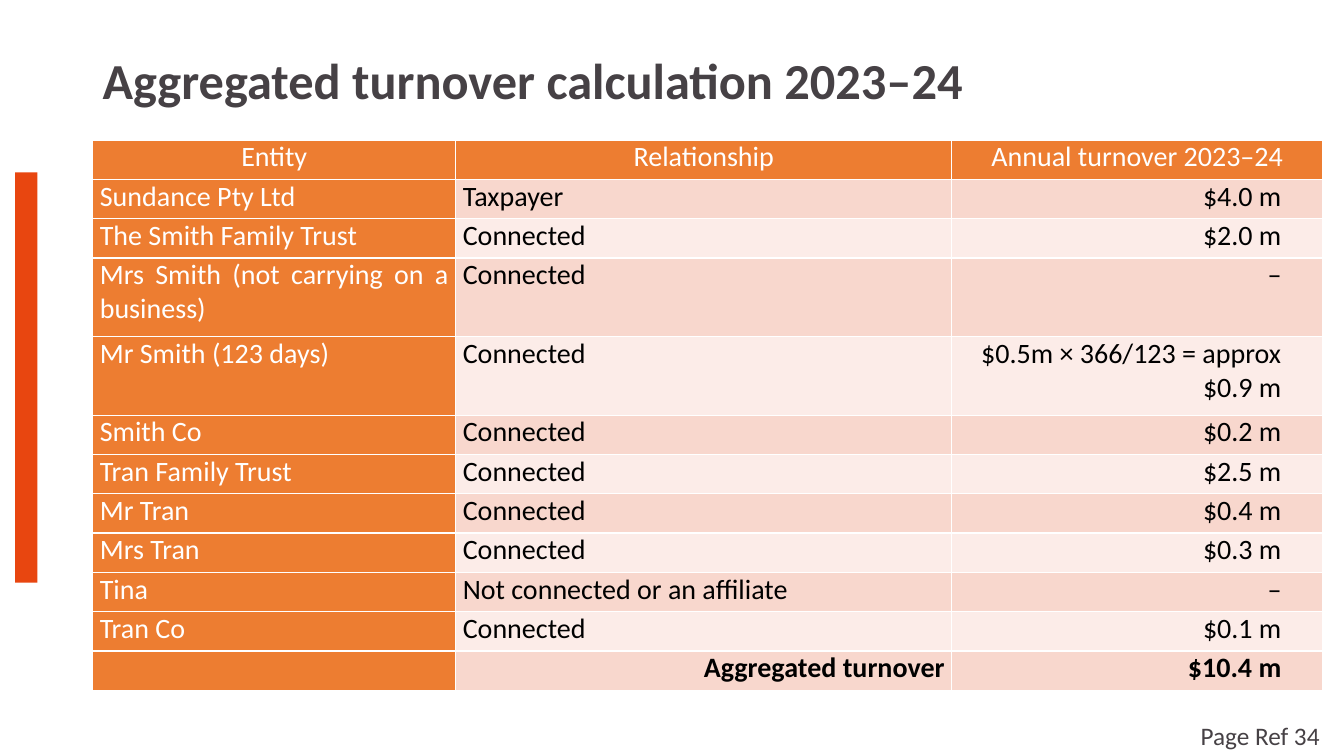
from pptx import Presentation
from pptx import util as u
from pptx.dml.color import RGBColor
from pptx.enum import shapes, text

PX = 9144  # EMU per px, 100 px to the inch
WHITE = RGBColor(0xFF, 0xFF, 0xFF)
BLACK = RGBColor(0x00, 0x00, 0x00)
GREY = RGBColor(0x46, 0x41, 0x45)
RED = RGBColor(0xE8, 0x46, 0x10)
ORANGE = RGBColor(0xED, 0x7D, 0x31)
DARK_BAND = RGBColor(0xF8, 0xD7, 0xCD)
LIGHT_BAND = RGBColor(0xFC, 0xEC, 0xE8)
ALIGN = text.PP_ALIGN


def format_runs(paragraph, size, color, bold=False):
    for run in paragraph.runs:
        run.font.name = "Calibri"
        run.font.size = u.Pt(size)
        run.font.color.rgb = color
        run.font.bold = bold


def add_text(left, top, width, height, wording, size, bold=False):
    box = slide.shapes.add_textbox(left * PX, top * PX, width * PX, height * PX)
    box.text_frame.word_wrap = True
    box.text_frame.text = wording
    format_runs(box.text_frame.paragraphs[0], size, GREY, bold)
    return box


presentation = Presentation()
presentation.slide_width = 1333 * PX
presentation.slide_height = 750 * PX
slide = presentation.slides.add_slide(presentation.slide_layouts[6])

accent_bar = slide.shapes.add_shape(
    shapes.MSO_SHAPE.RECTANGLE, 15 * PX, 171 * PX, 22 * PX, 407 * PX)
accent_bar.shadow.inherit = False
accent_bar.fill.solid()
accent_bar.fill.fore_color.rgb = RED
accent_bar.line.fill.background()

title = add_text(92, 40, 1150, 85, "Aggregated turnover calculation 2023–24", 36, True)
title.text_frame.vertical_anchor = text.MSO_ANCHOR.MIDDLE
title.text_frame.paragraphs[0].line_spacing = 0.9

ROWS = [
    ("Entity", "Relationship", "Annual turnover 2023–24"),
    ("Sundance Pty Ltd", "Taxpayer", "$4.0 m"),
    ("The Smith Family Trust", "Connected", "$2.0 m"),
    ("Mrs Smith (not carrying on a business)", "Connected", "–"),
    ("Mr Smith (123 days)", "Connected", "$0.5m × 366/123 = approx $0.9 m"),
    ("Smith Co", "Connected", "$0.2 m"),
    ("Tran Family Trust", "Connected", "$2.5 m"),
    ("Mr Tran", "Connected", "$0.4 m"),
    ("Mrs Tran", "Connected", "$0.3 m"),
    ("Tina", "Not connected or an affiliate", "–"),
    ("Tran Co", "Connected", "$0.1 m"),
    ("", "Aggregated turnover", "$10.4 m"),
]
COLUMN_WIDTHS = [360, 492, 368]
ROW_HEIGHT = 39
TALL_ROWS = (3, 4)
TOTAL_ROW = len(ROWS) - 1

# The default table style supplies the white cell borders.
table = slide.shapes.add_table(
    len(ROWS), len(COLUMN_WIDTHS), 92 * PX, 139 * PX, sum(COLUMN_WIDTHS) * PX,
    (len(ROWS) + len(TALL_ROWS)) * ROW_HEIGHT * PX).table
for column, width in zip(table.columns, COLUMN_WIDTHS):
    column.width = width * PX

for row_index, row in enumerate(ROWS):
    table.rows[row_index].height = ROW_HEIGHT * (2 if row_index in TALL_ROWS else 1) * PX
    for column_index, wording in enumerate(row):
        cell = table.cell(row_index, column_index)
        is_header = row_index == 0
        is_amount = column_index == 2 and not is_header
        on_orange = is_header or column_index == 0

        cell.margin_top = cell.margin_bottom = 0
        cell.margin_left = 7 * PX
        cell.margin_right = (41 if is_amount else 7) * PX
        cell.fill.solid()
        band = DARK_BAND if row_index % 2 else LIGHT_BAND
        cell.fill.fore_color.rgb = ORANGE if on_orange else band

        cell.text_frame.text = wording
        paragraph = cell.text_frame.paragraphs[0]
        paragraph.space_before = paragraph.space_after = u.Pt(6)
        if is_header:
            paragraph.alignment = ALIGN.CENTER
        elif is_amount or row_index == TOTAL_ROW:
            paragraph.alignment = ALIGN.RIGHT
        else:
            paragraph.alignment = ALIGN.JUSTIFY
        format_runs(paragraph, 20, WHITE if on_orange else BLACK, row_index == TOTAL_ROW)

add_text(1181, 710, 152, 40, "Page Ref 34", 18)

presentation.save("out.pptx")
